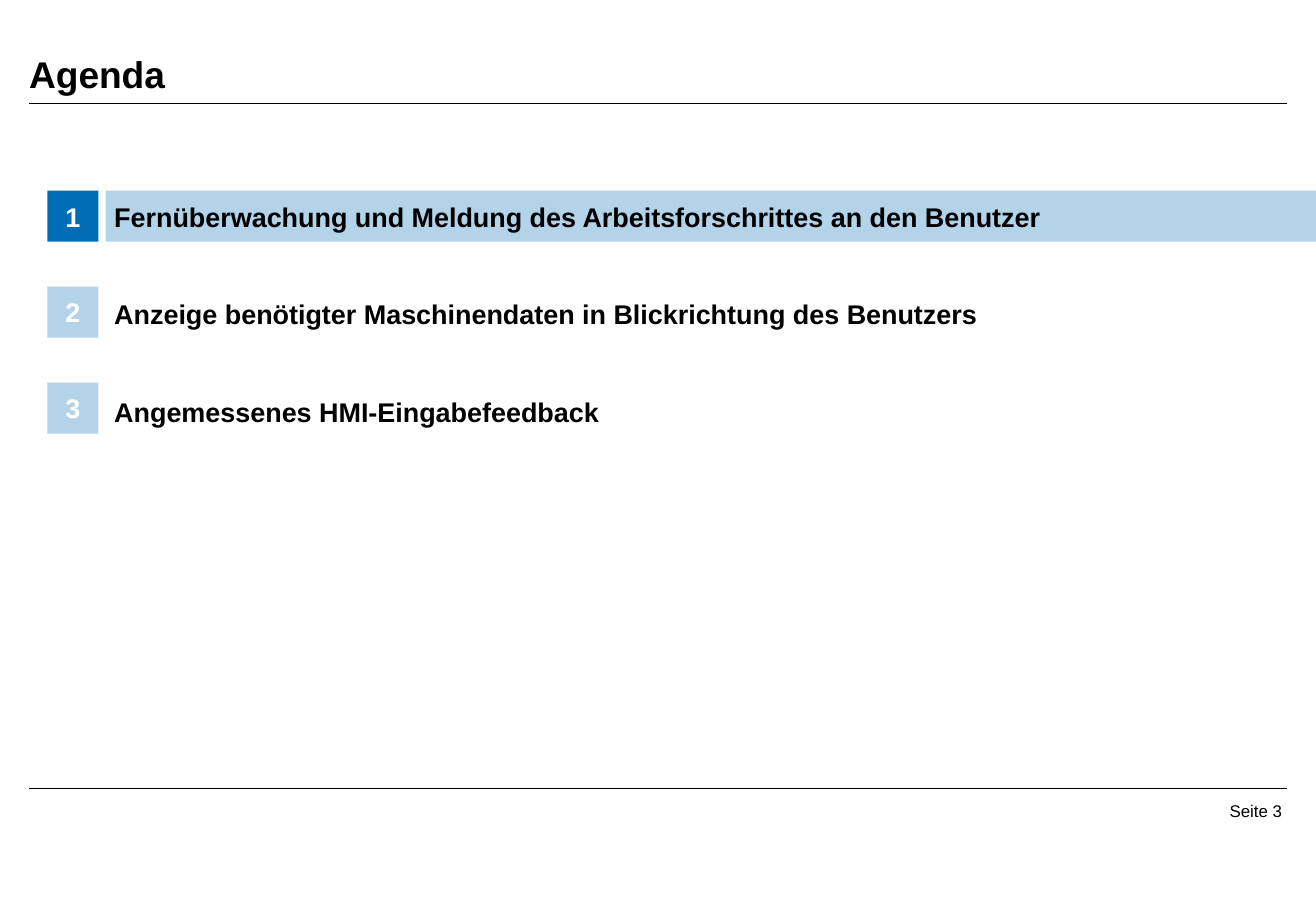
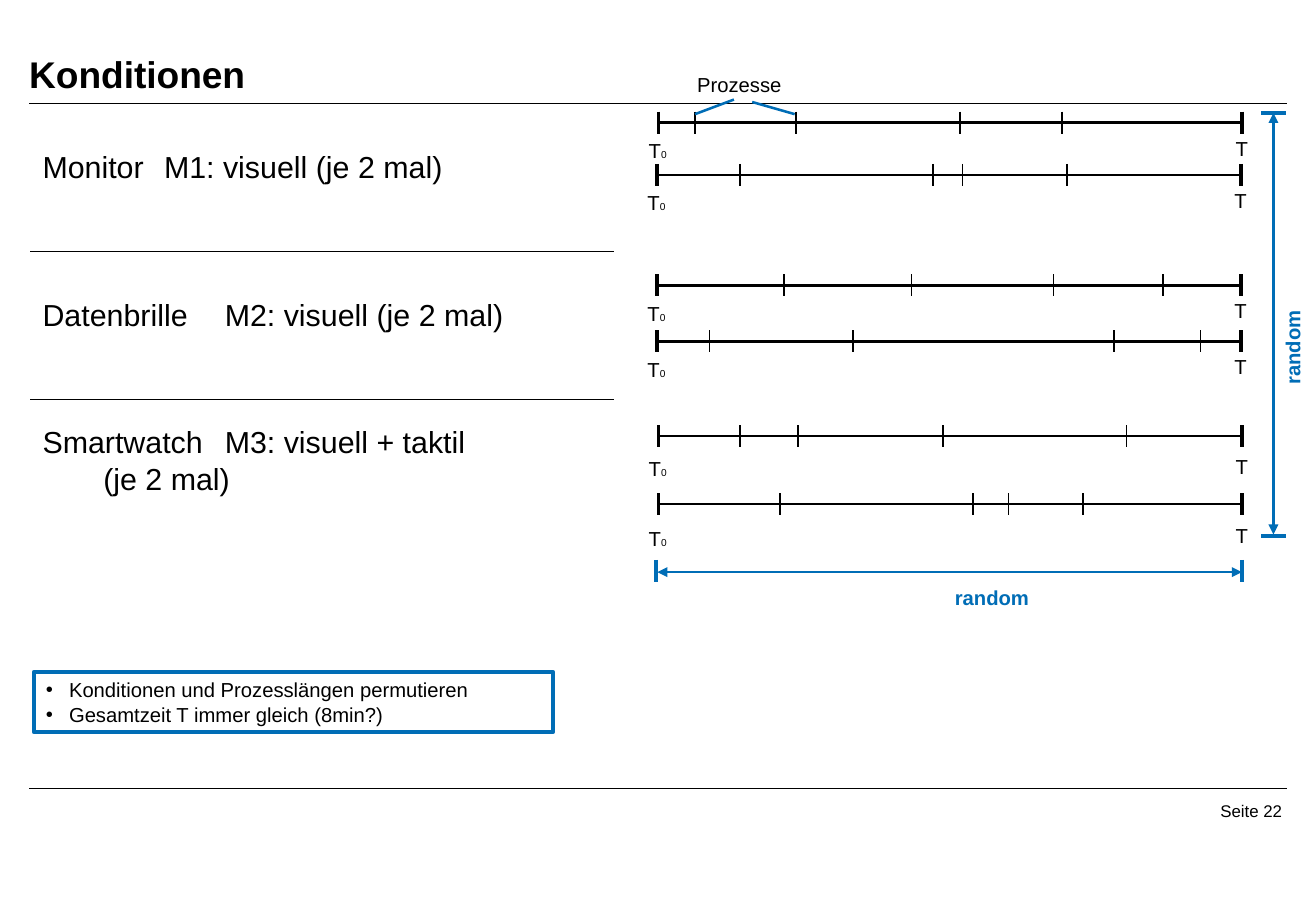
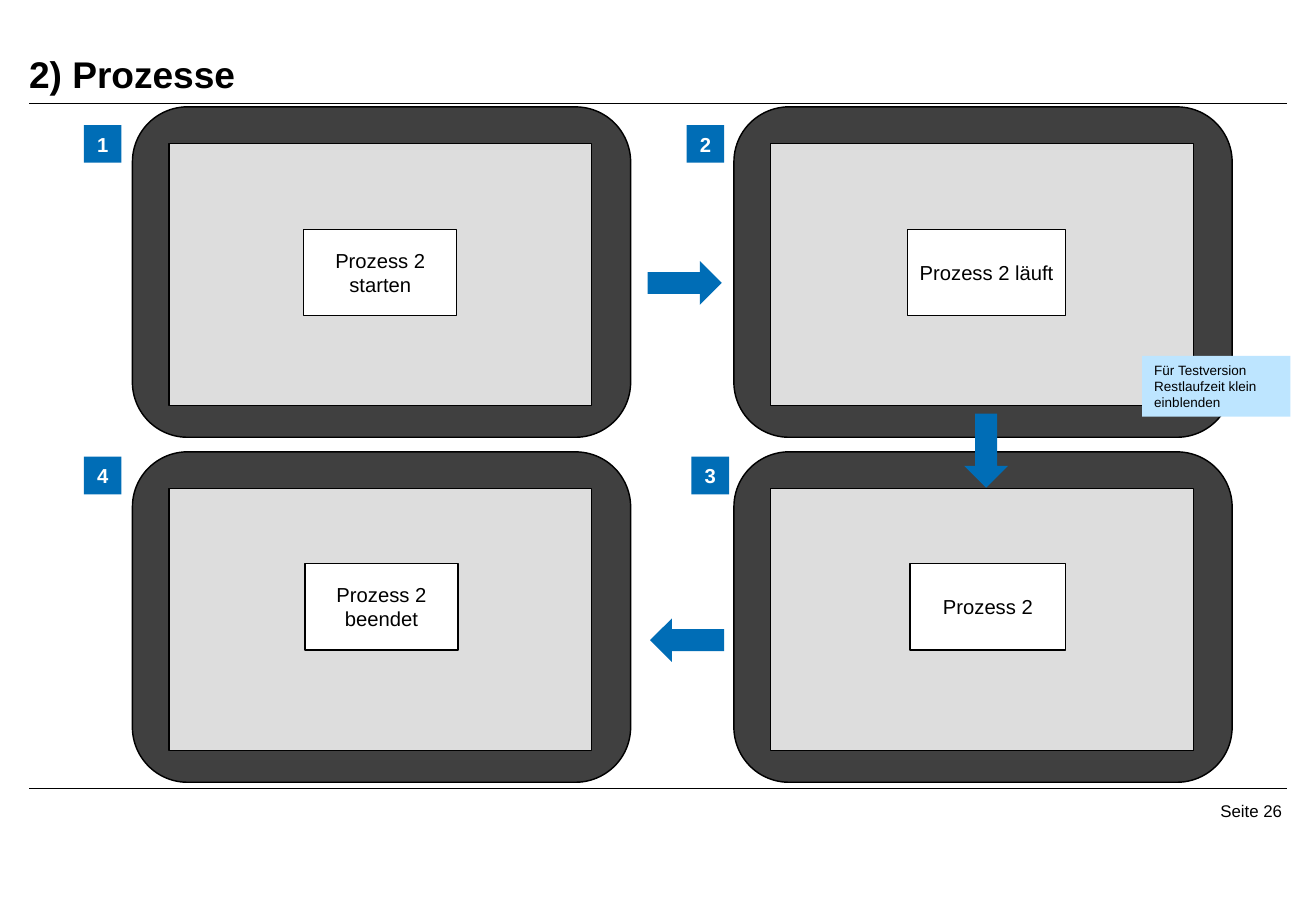
"""Build three slides on remote monitoring: agenda, conditions and processes."""
import lxml.etree
import pptx
import pptx.dml.color
import pptx.enum.shapes
import pptx.enum.text
import pptx.oxml.ns
import pptx.util

Inches = pptx.util.Inches
Pt = pptx.util.Pt
RGBColor = pptx.dml.color.RGBColor
Shape = pptx.enum.shapes.MSO_SHAPE
Anchor = pptx.enum.text.MSO_ANCHOR
Align = pptx.enum.text.PP_ALIGN
qn = pptx.oxml.ns.qn

BLACK = RGBColor(0x00, 0x00, 0x00)
WHITE = RGBColor(0xFF, 0xFF, 0xFF)
BLUE = RGBColor(0x00, 0x6D, 0xB6)
PALE_BLUE = RGBColor(0xB3, 0xD3, 0xE9)
NOTE_BLUE = RGBColor(0xBD, 0xE5, 0xFF)
DARK_GREY = RGBColor(0x40, 0x40, 0x40)
LIGHT_GREY = RGBColor(0xDD, 0xDD, 0xDD)
FONT = "Arial"
HAIRLINE = 0.85
INSETS = (0.1, 0.05, 0.1, 0.05)
TITLE_LAYOUT, LIST_LAYOUT = 5, 1


class Deck:
    def __init__(self):
        self.prs = pptx.Presentation()
        self.prs.slide_width = Inches(10.83)
        self.prs.slide_height = Inches(7.5)
        self.slide = None

    def start(self, title, page, layout=TITLE_LAYOUT):
        self.slide = self.prs.slides.add_slide(self.prs.slide_layouts[layout])
        heading = self.slide.shapes.title
        self.place(heading, 0.24, 0, 10.35, 0.79)
        self.set_text(heading.text_frame, [title], 22, bold=True,
                      anchor=Anchor.BOTTOM, insets=(0, 0, 0.31, 0))
        for y in (0.85, 6.49):
            self.line(0.24, y, 10.59, y)
        self.text(9.14, 6.55, 1.45, 0.35, [f"Seite {page}"], 10,
                  align=Align.RIGHT, insets=(0.04, 0.04, 0.04, 0))

    def place(self, shape, x, y, w, h):
        shape.left, shape.top = Inches(x), Inches(y)
        shape.width, shape.height = Inches(w), Inches(h)

    def set_text(self, frame, paragraphs, size, color=BLACK, bold=False,
                 align=Align.LEFT, anchor=Anchor.TOP, insets=INSETS, gaps=None):
        frame.word_wrap = True
        frame.auto_size = pptx.enum.text.MSO_AUTO_SIZE.NONE
        frame.vertical_anchor = anchor
        (frame.margin_left, frame.margin_top,
         frame.margin_right, frame.margin_bottom) = map(Inches, insets)
        for index, content in enumerate(paragraphs):
            paragraph = frame.paragraphs[0] if index == 0 else frame.add_paragraph()
            paragraph.alignment = align
            paragraph.space_before = Pt(gaps[index] if gaps else 0)
            for row, words in enumerate(content.split("\n")):
                if row:
                    paragraph.add_line_break()
                self.add_words(paragraph, words, size, color, bold)

    def add_words(self, paragraph, words, size, color=BLACK, bold=False):
        run = paragraph.add_run()
        run.text = words
        run.font.name = FONT
        run.font.size = Pt(size)
        run.font.bold = bold
        run.font.color.rgb = color

    def text(self, x, y, w, h, paragraphs, size, **style):
        box = self.slide.shapes.add_textbox(Inches(x), Inches(y), Inches(w), Inches(h))
        self.set_text(box.text_frame, paragraphs, size, **style)
        return box

    def body(self, x, y, w, h, paragraphs, size, tab=None, **style):
        body = self.slide.placeholders[1]
        self.place(body, x, y, w, h)
        self.set_text(body.text_frame, paragraphs, size, **style)
        for paragraph in body.text_frame.paragraphs:
            props = self.indent(paragraph, 0, 0)
            lxml.etree.SubElement(props, qn("a:buNone"))
            if tab:
                stops = lxml.etree.SubElement(props, qn("a:tabLst"))
                lxml.etree.SubElement(stops, qn("a:tab"), pos=str(Inches(tab)), algn="l")
        return body

    def indent(self, paragraph, margin, first):
        props = paragraph._p.get_or_add_pPr()
        props.set("marL", str(Inches(margin)))
        props.set("indent", str(Inches(first)))
        return props

    def bullets(self, frame):
        for paragraph in frame.paragraphs:
            props = self.indent(paragraph, 0.19, -0.19)
            lxml.etree.SubElement(props, qn("a:buFont"), typeface=FONT)
            lxml.etree.SubElement(props, qn("a:buChar"), char="•")

    def shape(self, kind, x, y, w, h, fill=None, outline=None, width=HAIRLINE,
              rotation=0):
        shape = self.slide.shapes.add_shape(kind, Inches(x), Inches(y), Inches(w), Inches(h))
        shape.shadow.inherit = False
        shape.rotation = rotation
        if fill is None:
            shape.fill.background()
        else:
            shape.fill.solid()
            shape.fill.fore_color.rgb = fill
        if outline is None:
            shape.line.fill.background()
        else:
            shape.line.color.rgb = outline
            shape.line.width = Pt(width)
        return shape

    def badge(self, x, y, side, number, size, fill=BLUE):
        badge = self.shape(Shape.RECTANGLE, x, y, side, side, fill)
        self.set_text(badge.text_frame, [str(number)], size, WHITE, True,
                      Align.CENTER, Anchor.MIDDLE, (0, 0, 0, 0))

    def line(self, x1, y1, x2, y2, color=BLACK, width=HAIRLINE, arrows=False):
        line = self.slide.shapes.add_connector(
            pptx.enum.shapes.MSO_CONNECTOR.STRAIGHT,
            Inches(x1), Inches(y1), Inches(x2), Inches(y2))
        line.line.color.rgb = color
        line.line.width = Pt(width)
        props = line.element.spPr
        if arrows:
            for end in ("a:headEnd", "a:tailEnd"):
                lxml.etree.SubElement(props.find(qn("a:ln")), qn(end), type="triangle")
        lxml.etree.SubElement(props, qn("a:effectLst"))

    def timeline(self, x, y, processes, label_gap):
        end = x + 4.8
        self.line(x, y, end, y, width=1.5)
        ticks = [(tick, 1) for tick in processes] + [(x, 2.25), (end, 2.25)]
        for tick, width in ticks:
            self.line(tick, y - 0.09, tick, y + 0.09, width=width)
        start = self.text(x - 0.18, y + label_gap, 0.45, 0.3, ["T"], 12)
        self.add_words(start.text_frame.paragraphs[0], "0", 6)
        self.text(end - 0.15, y + label_gap - 0.02, 0.45, 0.3, ["T"], 12)

    def device(self, x, y):
        self.shape(Shape.ROUNDED_RECTANGLE, x, y, 4.1, 2.72, DARK_GREY, BLACK)
        self.shape(Shape.RECTANGLE, x + 0.3, y + 0.3, 3.48, 2.16, LIGHT_GREY, BLACK)

    def process(self, x, y, w, label):
        box = self.shape(Shape.RECTANGLE, x, y, w, 0.71, WHITE, BLACK)
        self.set_text(box.text_frame, [label], 12, align=Align.CENTER,
                      anchor=Anchor.MIDDLE, insets=(0.05,) * 4)


def agenda(deck):
    topics = [
        "Fernüberwachung und Meldung des Arbeitsforschrittes an den Benutzer",
        "Anzeige benötigter Maschinendaten in Blickrichtung des Benutzers",
        "Angemessenes HMI-Eingabefeedback",
    ]
    top, pitch, current = 1.57, 0.79, 1
    deck.start("Agenda", 3, LIST_LAYOUT)
    topic_list = deck.body(0.87, top, 9.72, 2.1, topics, 16, bold=True,
                           insets=(0.07, 0.08, 0, 0.07), gaps=(0, 38.5, 38.5))
    for number in range(1, len(topics) + 1):
        y = top + (number - 1) * pitch
        deck.badge(0.39, y, 0.42, number, 16, BLUE if number == current else PALE_BLUE)
        if number == current:
            highlight = deck.shape(Shape.RECTANGLE, 0.87, y, 9.96, 0.42, PALE_BLUE)
            topic_list.element.addprevious(highlight.element)


def conditions(deck):
    deck.start("Konditionen", 22, LIST_LAYOUT)
    deck.body(0.25, 1.17, 4.91, 3.2, [
        "Monitor\tM1: visuell (je 2 mal)",
        "Datenbrille\tM2: visuell (je 2 mal)",
        "Smartwatch\tM3: visuell + taktil\n\t(je 2 mal)",
    ], 18, tab=2, gaps=(0, 66, 54))
    for y in (2.07, 3.29):
        deck.line(0.25, y, 5.05, y)

    for x, y, processes, label_gap in (
        (5.42, 1.01, (5.72, 6.55, 7.9, 8.74), 0.08),
        (5.41, 1.44, (6.09, 7.68, 7.92, 8.78), 0.08),
        (5.41, 2.35, (6.45, 7.5, 8.67, 9.57), 0.08),
        (5.41, 2.81, (5.84, 7.02, 9.17, 9.88), 0.08),
        (5.42, 3.59, (6.09, 6.57, 7.76, 9.27), 0.12),
        (5.42, 4.15, (6.42, 8.01, 8.3, 8.91), 0.13),
    ):
        deck.timeline(x, y, processes, label_gap)
    deck.text(5.63, 0.55, 0.91, 0.3, ["Prozesse"], 12, align=Align.CENTER)
    deck.line(6.19, 0.84, 6.54, 0.94, BLUE, 1.5)
    deck.line(6.04, 0.82, 5.72, 0.94, BLUE, 1.5)

    deck.line(5.41, 4.71, 10.22, 4.71, BLUE, 1.5, arrows=True)
    for x in (5.4, 10.22):
        deck.line(x, 4.61, x, 4.79, BLUE, 2.25)
    deck.line(10.48, 4.4, 10.48, 0.93, BLUE, 1.5, arrows=True)
    for y in (0.93, 4.41):
        deck.line(10.38, y, 10.58, y, BLUE, 2.25)
    deck.text(7.76, 4.77, 0.86, 0.3, ["random"], 12, color=BLUE, bold=True)
    order = deck.text(10.13, 2.56, 1.06, 0.35, ["random"], 12, color=BLUE, bold=True)
    order.rotation = 270

    remarks = deck.shape(Shape.RECTANGLE, 0.28, 5.53, 4.27, 0.5, outline=BLUE, width=2.25)
    deck.set_text(remarks.text_frame, [
        "Konditionen und Prozesslängen permutieren",
        "Gesamtzeit T immer gleich (8min?)",
    ], 12)
    deck.bullets(remarks.text_frame)


def processes(deck):
    deck.start("2) Prozesse", 26)
    for y in (0.88, 3.72):
        for x in (1.09, 6.04):
            deck.device(x, y)
    for x, y, width, label in (
        (2.5, 1.89, 1.26, "Prozess 2 starten"),
        (7.47, 1.89, 1.3, "Prozess 2 läuft"),
        (7.49, 4.64, 1.28, "Prozess 2"),
        (2.51, 4.64, 1.26, "Prozess 2 beendet"),
    ):
        deck.process(x, y, width, label)
    for x, y, rotation in ((5.33, 2.15, 0), (7.81, 3.53, 90), (5.35, 5.09, 180)):
        deck.shape(Shape.RIGHT_ARROW, x, y, 0.61, 0.36, BLUE, rotation=rotation)
    steps = ((0.69, 1.03), (5.65, 1.03), (5.69, 3.76), (0.69, 3.76))
    for number, (x, y) in enumerate(steps, 1):
        deck.badge(x, y, 0.31, number, 12)
    hint = deck.shape(Shape.RECTANGLE, 9.4, 2.93, 1.22, 0.5, NOTE_BLUE)
    deck.set_text(hint.text_frame, ["Für Testversion Restlaufzeit klein einblenden"], 8)


def main():
    deck = Deck()
    agenda(deck)
    conditions(deck)
    processes(deck)
    deck.prs.save("out.pptx")


if __name__ == "__main__":
    main()
